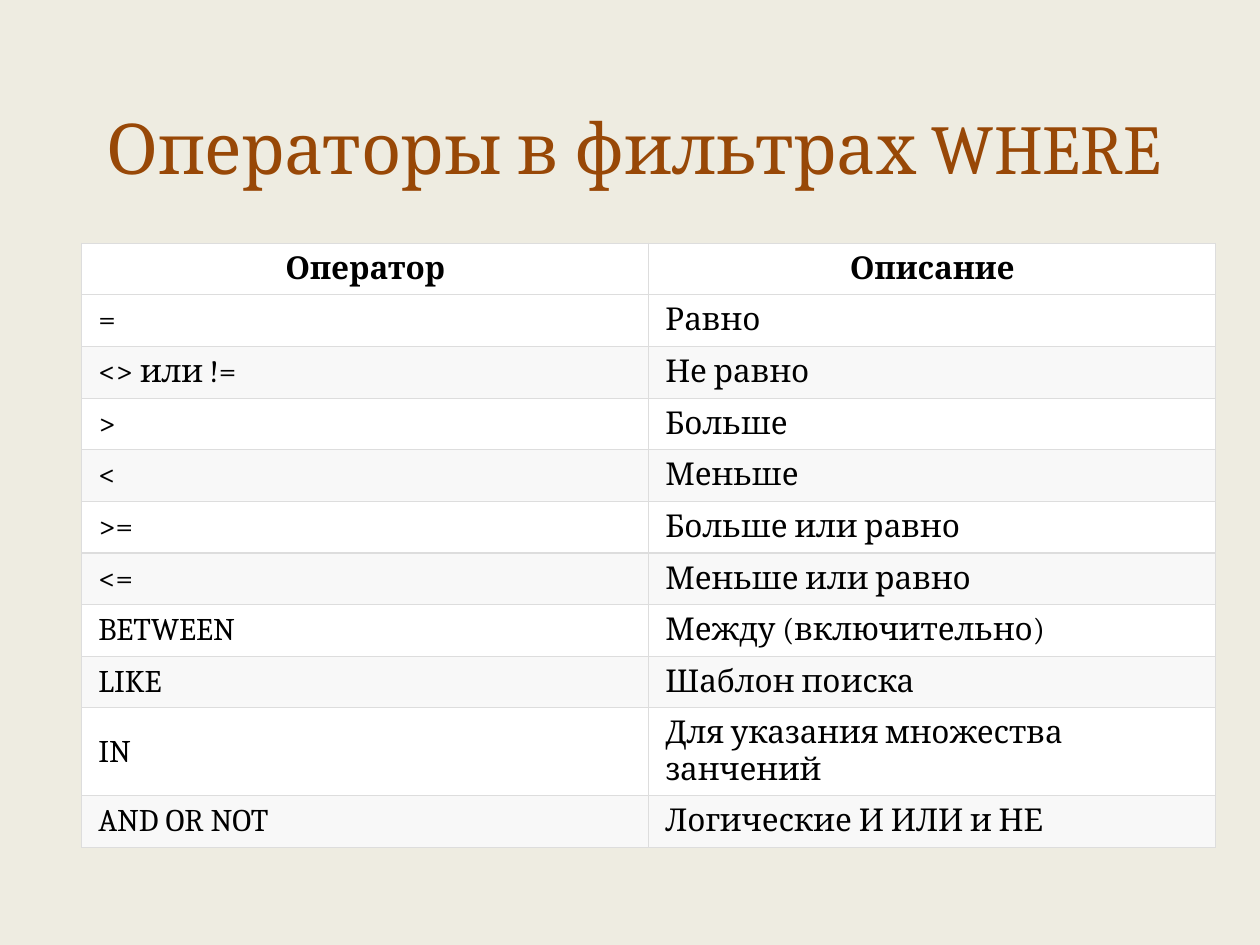
"""Build a slide with a table of the operators used in WHERE filters."""
import pptx
import pptx.dml.color
import pptx.enum.text
import pptx.oxml
import pptx.oxml.ns
import pptx.util

RGBColor = pptx.dml.color.RGBColor
Inches = pptx.util.Inches
BACKGROUND = RGBColor(0xEE, 0xEC, 0xE1)
TITLE = RGBColor(0x98, 0x48, 0x07)
TEXT = RGBColor(0x00, 0x00, 0x00)
WHITE = RGBColor(0xFF, 0xFF, 0xFF)
STRIPE = RGBColor(0xF8, 0xF8, 0xF8)
BORDER = RGBColor(0xDD, 0xDD, 0xDD)
FONT = "Cambria"
WIDTH, HEIGHT = Inches(10), Inches(7.5)
ROW_HEIGHT = Inches(0.41)

ROWS = [
    ("Оператор", "Описание"),
    ("=", "Равно"),
    ("<> или !=", "Не равно"),
    (">", "Больше"),
    ("<", "Меньше"),
    (">=", "Больше или равно"),
    ("<=", "Меньше или равно"),
    ("BETWEEN", "Между (включительно)"),
    ("LIKE", "Шаблон поиска"),
    ("IN", "Для указания множества занчений"),
    ("AND OR NOT", "Логические И ИЛИ и НЕ"),
]


def format_text(p, size, color, bold=False, centered=False):
    """Set the alignment of a paragraph and the font of its runs."""
    align = pptx.enum.text.PP_ALIGN
    p.alignment = align.CENTER if centered else align.LEFT
    for r in p.runs:
        r.font.name = FONT
        r.font.size = pptx.util.Pt(size)
        r.font.bold = bold
        r.font.color.rgb = color


def add_title(s, text):
    """Move and fill the title placeholder."""
    sp = s.shapes.title
    sp.left, sp.top = Inches(0.53), Inches(0.54)
    sp.width, sp.height = int(WIDTH * 0.9), HEIGHT // 6
    tf = sp.text_frame
    tf.text = text
    tf.word_wrap = True
    tf.vertical_anchor = pptx.enum.text.MSO_ANCHOR.MIDDLE
    format_text(tf.paragraphs[0], 40, TITLE, centered=True)


def add_borders(cell):
    """Draw a thin line on all four sides of a cell."""
    tc_pr = cell._tc.get_or_add_tcPr()
    for side in "LRTB":
        tc_pr.append(pptx.oxml.parse_xml(
            f'<a:ln{side} {pptx.oxml.ns.nsdecls("a")} w="{pptx.util.Pt(0.75)}">'
            f'<a:solidFill><a:srgbClr val="{BORDER}"/></a:solidFill></a:ln{side}>'))


def fill_cell(cell, text, color, header):
    """Write and style one table cell."""
    cell.text = text
    cell.vertical_anchor = pptx.enum.text.MSO_ANCHOR.MIDDLE
    cell.margin_left = cell.margin_right = Inches(0.13)
    cell.margin_top = cell.margin_bottom = Inches(0.06)
    add_borders(cell)
    cell.fill.solid()
    cell.fill.fore_color.rgb = color
    format_text(cell.text_frame.paragraphs[0], 18, TEXT, header, header)


def add_operator_table(s, rows):
    """Add a striped table with a centred header row."""
    table = s.shapes.add_table(
        len(rows), len(rows[0]), Inches(0.65), Inches(1.93),
        int(WIDTH * 0.9), ROW_HEIGHT * len(rows)).table
    for i, row in enumerate(rows):
        table.rows[i].height = ROW_HEIGHT
        color = STRIPE if i and i % 2 == 0 else WHITE
        for j, text in enumerate(row):
            fill_cell(table.cell(i, j), text, color, header=i == 0)


def main():
    """Create the presentation and save it."""
    prs = pptx.Presentation()
    prs.slide_width, prs.slide_height = WIDTH, HEIGHT
    s = prs.slides.add_slide(prs.slide_layouts[5])
    s.background.fill.solid()
    s.background.fill.fore_color.rgb = BACKGROUND
    add_title(s, "Операторы в фильтрах WHERE")
    add_operator_table(s, ROWS)
    prs.save("out.pptx")


if __name__ == "__main__":
    main()
